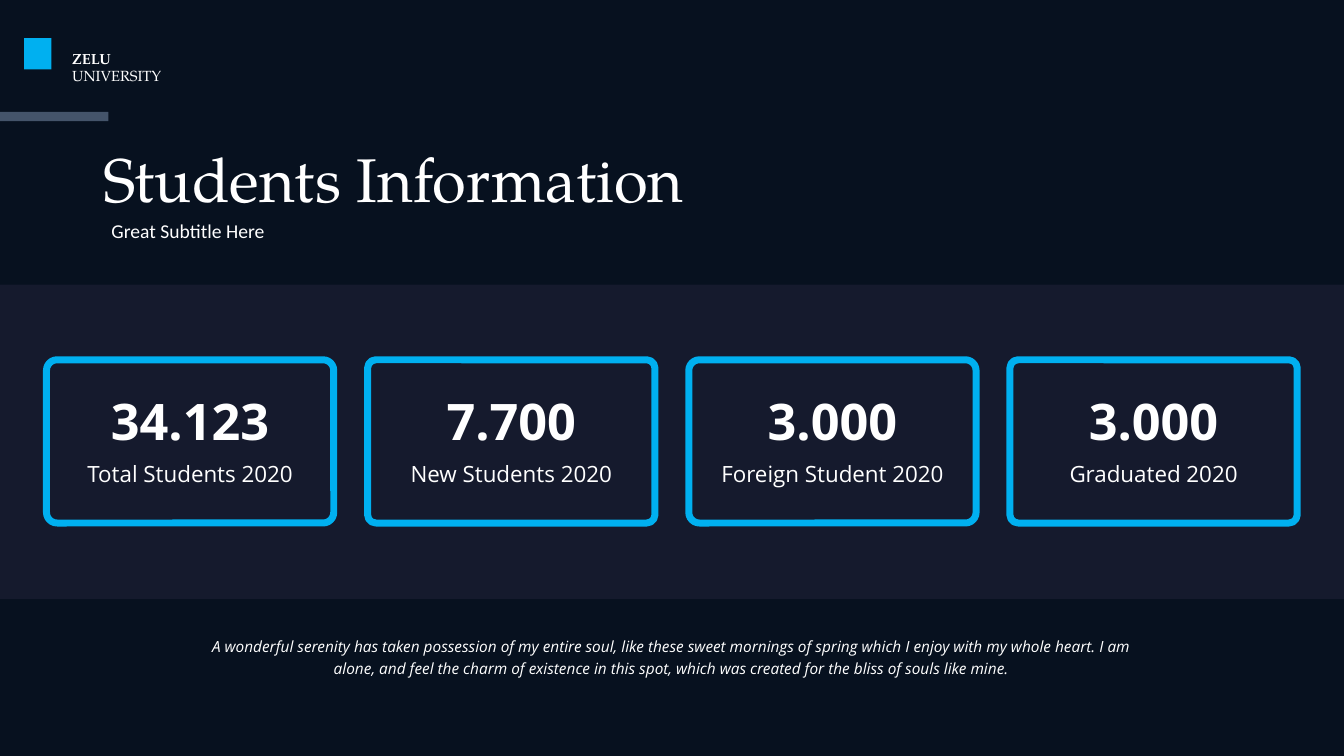
from dataclasses import dataclass
from typing import NamedTuple, Optional

from lxml import etree
from pptx import Presentation
from pptx.dml import color
from pptx.enum import shapes, text
from pptx.oxml import ns
from pptx.shapes import autoshape
from pptx.slide import Slide
from pptx.util import Pt


@dataclass(frozen=True)
class Theme:
    backdrop: str = "07111F"
    band: str = "1C1F33"
    accent: str = "00B0F0"
    marker: str = "44546A"
    ink: str = "FFFFFF"
    serif: str = "TeX Gyre Pagella"
    sans: str = "Open Sans"
    plain: str = "Calibri"
    title: float = 44
    figure: float = 36
    label: float = 16
    subtitle: float = 14
    quote: float = 11
    university: float = 10.5


class Box(NamedTuple):
    left: float
    top: float
    width: float
    height: float


class Words(NamedTuple):
    wording: str
    size: float
    font: str
    bold: bool = False
    italic: bool = False


class Statistic(NamedTuple):
    figure: str
    label: str
    corner: float


THEME = Theme()
SLIDE_WIDTH, SLIDE_HEIGHT = 960, 540
FIRST_CARD = Box(33.2, 257, 205.2, 116.6)
CARD_PITCH = 229.4
CARD_INSET = 7.6
STATISTICS = [
    Statistic("34.123", "Total Students 2020", 0.065),
    Statistic("7.700", "New Students 2020", 0.05),
    Statistic("3.000", "Foreign Student 2020", 0.065),
    Statistic("3.000", "Graduated 2020", 0.05),
]
QUOTE = (
    "A wonderful serenity has taken possession of my entire soul, like these sweet "
    "mornings of spring which I enjoy with my whole heart. I am alone, and feel the "
    "charm of existence in this spot, which was created for the bliss of souls like mine."
)


def rgb(code: str) -> color.RGBColor:
    return color.RGBColor.from_string(code)


def draw_block(slide: Slide, box: Box, fill: str) -> autoshape.Shape:
    block = slide.shapes.add_shape(shapes.MSO_SHAPE.RECTANGLE, *map(Pt, box))
    block.shadow.inherit = False
    block.fill.solid()
    block.fill.fore_color.rgb = rgb(fill)
    block.line.fill.background()
    return block


def draw_words(
    slide: Slide,
    box: Box,
    lines: list[Words],
    centred: bool = False,
    spacing: Optional[float] = None,
    before: Optional[float] = None,
    middle: bool = False,
) -> None:
    frame = slide.shapes.add_textbox(*map(Pt, box)).text_frame
    frame.word_wrap = True
    if middle:
        frame.vertical_anchor = text.MSO_ANCHOR.MIDDLE
    paragraph = frame.paragraphs[0]
    if centred:
        paragraph.alignment = text.PP_ALIGN.CENTER
    if spacing is not None:
        paragraph.line_spacing = spacing
    if before is not None:
        paragraph.space_before = Pt(before)
    for index, words in enumerate(lines):
        if index:
            paragraph.add_line_break()
        run = paragraph.add_run()
        run.text = words.wording
        run.font.name = words.font
        run.font.size = Pt(words.size)
        run.font.bold = words.bold
        run.font.italic = words.italic
        run.font.color.rgb = rgb(THEME.ink)


def draw_statistic(slide: Slide, left: float, statistic: Statistic) -> None:
    box = FIRST_CARD._replace(left=left)
    card = slide.shapes.add_shape(shapes.MSO_SHAPE.ROUNDED_RECTANGLE, *map(Pt, box))
    card.adjustments[0] = statistic.corner
    card.shadow.inherit = False
    card.fill.background()
    card.line.color.rgb = rgb(THEME.accent)
    card.line.width = Pt(5)

    inner_left = left + CARD_INSET
    inner_width = box.width - 2 * CARD_INSET
    rows = [
        (Box(inner_left, 280, inner_width, 47), Words(statistic.figure, THEME.figure, THEME.sans, bold=True)),
        (Box(inner_left, 327, inner_width, 24.5), Words(statistic.label, THEME.label, THEME.sans)),
    ]
    for row, words in rows:
        draw_words(slide, row, [words], centred=True, spacing=0.9, before=16)


def main() -> None:
    deck = Presentation()
    deck.slide_width, deck.slide_height = Pt(SLIDE_WIDTH), Pt(SLIDE_HEIGHT)
    slide = deck.slides.add_slide(deck.slide_layouts[6])
    slide.background.fill.solid()
    slide.background.fill.fore_color.rgb = rgb(THEME.backdrop)

    band = draw_block(slide, Box(0, 203.3, SLIDE_WIDTH, 224.6), THEME.band)
    tint = band._element.spPr.find(f".//{ns.qn('a:srgbClr')}")
    etree.SubElement(tint, ns.qn("a:alpha"), val="70000")

    draw_words(
        slide,
        Box(67, 86.4, 525.6, 81.4),
        [Words("Students Information", THEME.title, THEME.serif)],
        middle=True,
    )
    draw_block(slide, Box(0, 80, 77.5, 6.5), THEME.marker)
    draw_words(
        slide,
        Box(44.5, 31.7, 108.7, 32.5),
        [
            Words("ZELU", THEME.university, THEME.serif, bold=True),
            Words("UNIVERSITY", THEME.university, THEME.serif),
        ],
    )
    draw_block(slide, Box(17.3, 27.3, 19.4, 22.4), THEME.accent)
    draw_words(
        slide,
        Box(72.5, 152.6, 260.6, 24.5),
        [Words("Great Subtitle Here", THEME.subtitle, THEME.plain)],
    )
    for index, statistic in enumerate(STATISTICS):
        draw_statistic(slide, FIRST_CARD.left + index * CARD_PITCH, statistic)
    draw_words(
        slide,
        Box(139, 448.6, 681.8, 38.2),
        [Words(QUOTE, THEME.quote, THEME.sans, italic=True)],
        centred=True,
        spacing=1.2,
    )
    deck.save("out.pptx")


if __name__ == "__main__":
    main()
